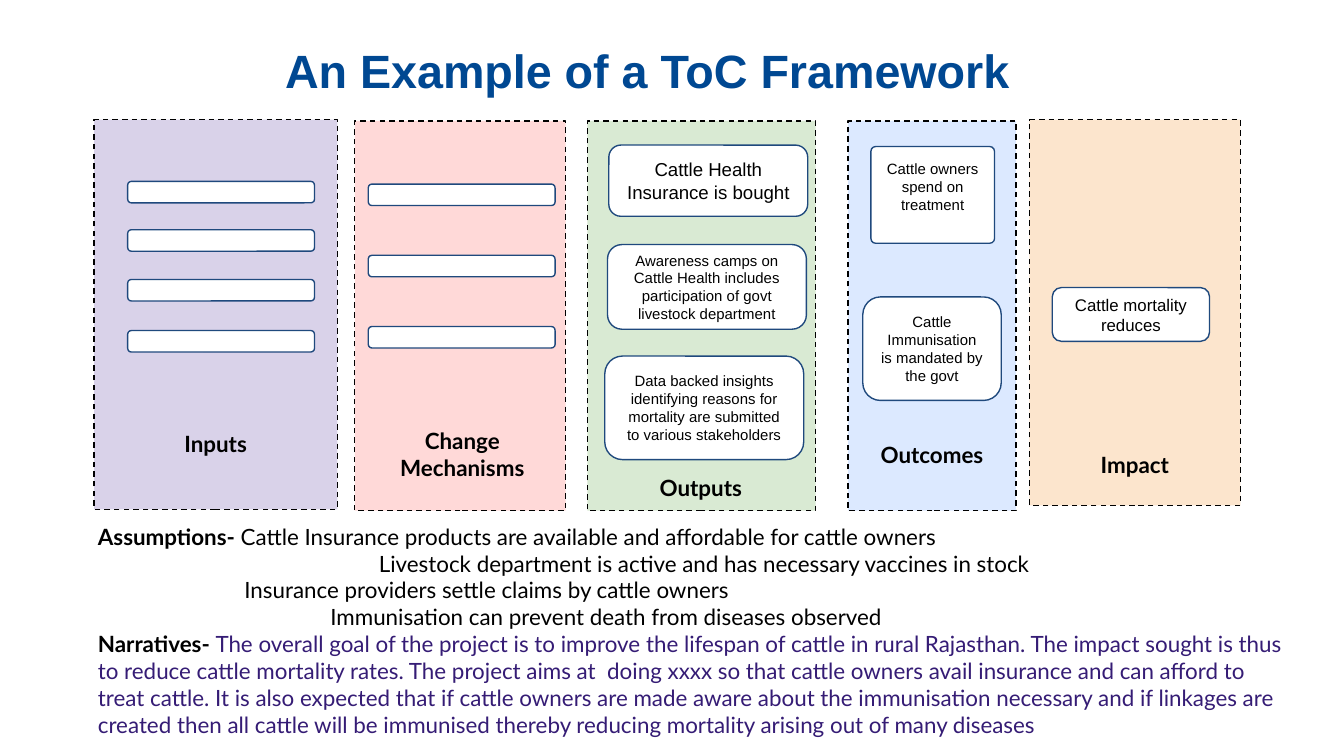
"""Build a theory of change slide with five columns, assumptions and a narrative."""
from pptx import Presentation
from pptx.dml.color import RGBColor
from pptx.enum.dml import MSO_LINE
from pptx.enum.shapes import MSO_SHAPE
from pptx.enum.text import MSO_ANCHOR, PP_ALIGN
from pptx.util import Inches, Pt

RECTANGLE, ROUNDED = MSO_SHAPE.RECTANGLE, MSO_SHAPE.ROUNDED_RECTANGLE
CENTER, LEFT = PP_ALIGN.CENTER, PP_ALIGN.LEFT
TOP, MIDDLE = MSO_ANCHOR.TOP, MSO_ANCHOR.MIDDLE
DASH = MSO_LINE.DASH
BLACK, WHITE, NAVY, BLUE, PURPLE = "000000", "FFFFFF", "1F497D", "004892", "351C75"

SLIDE_WIDTH = 10
SLIDE_HEIGHT = SLIDE_WIDTH * 9 / 16
TITLE = "An Example of a ToC Framework"
COLUMNS = [
    {"label": "Inputs", "fill": "D9D2E9", "box": (0.7, 0.89, 1.81, 2.9),
     "label_box": (1.09, 3.1, 1.03, 0.4), "bar_left": 0.95, "bar_tops": (1.35, 1.71, 2.08, 2.46)},
    {"label": "Change Mechanisms", "fill": "FFD9D8", "box": (2.64, 0.9, 1.57, 2.9),
     "label_box": (2.7, 3.08, 1.48, 0.61), "bar_left": 2.74, "bar_tops": (1.37, 1.9, 2.43)},
    {"label": "Outputs", "fill": "D9EAD3", "box": (4.37, 0.9, 1.7, 2.9),
     "label_box": (4.7, 3.43, 1.03, 0.4), "cards": [
         {"text": "Cattle Health Insurance is bought", "box": (4.53, 1.08, 1.48, 0.53), "size": 10},
         {"text": "Awareness camps on Cattle Health includes participation of govt livestock department",
          "box": (4.52, 1.82, 1.48, 0.63)},
         {"text": "Data backed insights identifying reasons for mortality are submitted "
                  "to various stakeholders", "box": (4.5, 2.65, 1.48, 0.77)}]},
    {"label": "Outcomes", "fill": "DCE9FF", "box": (6.31, 0.9, 1.25, 2.9),
     "label_box": (6.42, 3.18, 1.03, 0.4), "cards": [
         {"text": "Cattle owners spend on treatment", "box": (6.48, 1.09, 0.92, 0.72),
          "corner": 0.05, "bottom": 0.23},
         {"text": "Cattle Immunisation is mandated by the govt", "box": (6.42, 2.21, 1.03, 0.77),
          "side": 0.09}]},
    {"label": "Impact", "fill": "FCE5CD", "box": (7.66, 0.89, 1.57, 2.87),
     "label_box": (7.93, 3.26, 1.03, 0.4), "cards": [
         {"text": "Cattle mortality reduces", "box": (7.83, 2.14, 1.17, 0.4), "size": 9}]},
]
BAR_SIZE = (1.39, 0.16)
NOTES_BOX = (0.63, 3.79, 9.02, 2.32)
NOTES = [
    ("Assumptions- ", "Cattle Insurance products are available and affordable for cattle owners", 0, BLACK),
    ("", "Livestock department is active and has necessary vaccines in stock", 2.09, BLACK),
    ("", "Insurance providers settle claims by cattle owners", 1.09, BLACK),
    ("", "Immunisation can prevent death from diseases observed", 1.73, BLACK),
    ("Narratives- ",
     "The overall goal of the project is to improve the lifespan of cattle in rural Rajasthan. "
     "The impact sought is thus to reduce cattle mortality rates. The project aims at  doing xxxx "
     "so that cattle owners avail insurance and can afford to treat cattle. It is also expected that "
     "if cattle owners are made aware about the immunisation necessary and if linkages are created "
     "then all cattle will be immunised thereby reducing mortality arising out of many diseases",
     0, PURPLE),
]


def color(value):
    return RGBColor.from_string(value)


def add_run(paragraph, text, *, size=12, font="Lato", ink=BLACK, bold=False):
    run = paragraph.add_run()
    run.text = text
    run.font.size, run.font.name, run.font.bold = Pt(size), font, bold
    run.font.color.rgb = color(ink)


def set_frame(shape, *, anchor=TOP, side=0.1, vertical=0.1, bottom=None):
    frame = shape.text_frame
    frame.word_wrap, frame.vertical_anchor = True, anchor
    frame.margin_left = frame.margin_right = Inches(side)
    frame.margin_top = Inches(vertical)
    frame.margin_bottom = Inches(bottom or vertical)
    return frame


def write(shape, text, *, anchor=TOP, side=0.1, vertical=0.1, bottom=None, **style):
    frame = set_frame(shape, anchor=anchor, side=side, vertical=vertical, bottom=bottom)
    paragraph = frame.paragraphs[0]
    paragraph.alignment = CENTER
    add_run(paragraph, text, **style)


def add_box(slide, kind, box, *, fill=WHITE, line=NAVY, dash=None, corner=0.17):
    shape = slide.shapes.add_shape(kind, *map(Inches, box))
    shape.shadow.inherit = False
    shape.fill.solid()
    shape.fill.fore_color.rgb = color(fill)
    shape.line.color.rgb = color(line)
    shape.line.width = Pt(0.75)
    if dash:
        shape.line.dash_style = dash
    if kind == ROUNDED:
        shape.adjustments[0] = corner
    return shape


def add_text_box(slide, box):
    return slide.shapes.add_textbox(*map(Inches, box))


def add_column(slide, column):
    add_box(slide, RECTANGLE, column["box"], fill=column["fill"], line=BLACK, dash=DASH)
    write(add_text_box(slide, column["label_box"]), column["label"], bold=True)
    for top in column.get("bar_tops", ()):
        add_box(slide, ROUNDED, (column["bar_left"], top, *BAR_SIZE))
    for card in column.get("cards", ()):
        shape = add_box(slide, ROUNDED, card["box"], corner=card.get("corner", 0.17))
        write(shape, card["text"], anchor=MIDDLE, side=card.get("side", 0.1),
              bottom=card.get("bottom"), size=card.get("size", 8), font="Arial")


def add_notes(slide):
    frame = set_frame(add_text_box(slide, NOTES_BOX))
    for index, (heading, body, indent, ink) in enumerate(NOTES):
        paragraph = frame.add_paragraph() if index else frame.paragraphs[0]
        paragraph.alignment = LEFT
        paragraph._p.get_or_add_pPr().set("marL", str(Inches(indent)))
        if heading:
            add_run(paragraph, heading, bold=True)
        add_run(paragraph, body, ink=ink)


def main():
    presentation = Presentation()
    presentation.slide_width = Inches(SLIDE_WIDTH)
    presentation.slide_height = Inches(SLIDE_HEIGHT)
    slide = presentation.slides.add_slide(presentation.slide_layouts[6])
    write(add_text_box(slide, (1.15, 0.32, 7.33, 0.4)), TITLE, anchor=MIDDLE, vertical=0.05,
          size=25, font="Arial", ink=BLUE, bold=True)
    for column in COLUMNS:
        add_column(slide, column)
    add_notes(slide)
    presentation.save("out.pptx")


if __name__ == "__main__":
    main()
